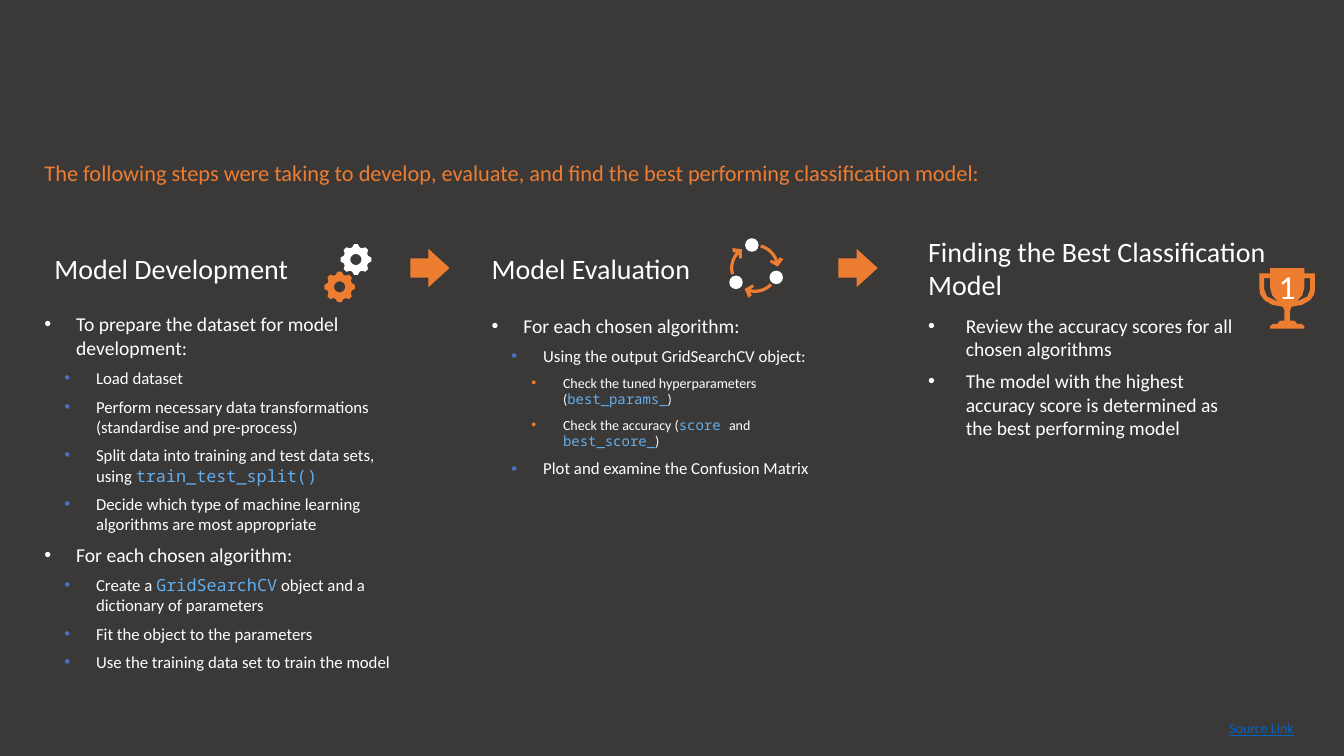
import math

import pptx
import pptx.dml.color
import pptx.enum.shapes
import pptx.enum.text
import pptx.oxml.ns
import pptx.util
from lxml import etree

Cm, Pt = pptx.util.Cm, pptx.util.Pt
ANCHOR = pptx.enum.text.MSO_ANCHOR
ALIGN = pptx.enum.text.PP_ALIGN
SHAPE = pptx.enum.shapes.MSO_SHAPE

WHITE, ORANGE, BLUE, CODE, LINK = "FFFFFF", "ED7D31", "4472C4", "61AFEF", "0563C1"
BACKGROUND = "3B3838"
LEVEL_SIZES = [14, 12, 10]
LEVEL_BULLETS = [None, BLUE, ORANGE]

# Items are (level, text); backticks enclose code.
DEVELOPMENT = [
    (0, "To prepare the dataset for model development:"),
    (1, "Load dataset"),
    (1, "Perform necessary data transformations (standardise and pre-process)"),
    (1, "Split data into training and test data sets, using `train_test_split()`"),
    (1, "Decide which type of machine learning algorithms are most appropriate"),
    (0, "For each chosen algorithm:"),
    (1, "Create a `GridSearchCV` object and a dictionary of parameters"),
    (1, "Fit the object to the parameters"),
    (1, "Use the training data set to train the model"),
]
EVALUATION = [
    (0, "For each chosen algorithm:"),
    (1, "Using the output GridSearchCV object:"),
    (2, "Check the tuned hyperparameters (`best_params_`)"),
    (2, "Check the accuracy (`score `and `best_score_`)"),
    (1, "Plot and examine the Confusion Matrix"),
]
SELECTION = [
    (0, "Review the accuracy scores for all chosen algorithms"),
    (0, "The model with the highest accuracy score is determined as the best performing model"),
]

# Right half of the trophy, measured from the middle of its top edge.
TROPHY_HALF = [(0.43, 0), (0.43, 0.13), (0.7, 0.13), (0.7, 0.53), (0.68, 0.66), (0.58, 0.8),
               (0.38, 0.92), (0.11, 0.97), (0.07, 1.07), (0.07, 1.32), (0.18, 1.32),
               (0.25, 1.4), (0.36, 1.4), (0.43, 1.46), (0.43, 1.52)]
TROPHY_HANDLE = [(0.43, 0.25), (0.58, 0.25), (0.58, 0.53), (0.51, 0.71), (0.24, 0.84),
                 (0.38, 0.68), (0.43, 0.5)]


def color(value):
    return pptx.dml.color.RGBColor.from_string(value)


def polar(center, radius, degrees):
    angle = math.radians(degrees)
    return center[0] + radius * math.cos(angle), center[1] + radius * math.sin(angle)


def mirror(points):
    return [(-x, y) for x, y in reversed(points)]


class SlideBuilder:
    font_name = "Calibri"

    def __init__(self, slide):
        self.slide = slide
        slide.background.fill.solid()
        slide.background.fill.fore_color.rgb = color(BACKGROUND)

    def style(self, font, size, text_color=WHITE):
        font.name, font.size, font.bold = self.font_name, Pt(size), False
        font.color.rgb = color(text_color)

    def frame(self, shape, box, inset=True, anchor=ANCHOR.TOP):
        shape.left, shape.top, shape.width, shape.height = map(Cm, box)
        frame = shape.text_frame
        frame.word_wrap = True
        frame.auto_size = pptx.enum.text.MSO_AUTO_SIZE.NONE
        frame.vertical_anchor = anchor
        frame.margin_left = frame.margin_right = Cm(0.25 if inset else 0)
        frame.margin_top = frame.margin_bottom = Cm(0.13 if inset else 0)
        return frame

    def title(self, box, text):
        paragraph = self.frame(self.slide.shapes.title, box, inset=False).paragraphs[0]
        paragraph.text = text
        paragraph.alignment = ALIGN.LEFT
        self.style(paragraph.font, 16, ORANGE)

    def text(self, box, text, size=20, text_color=WHITE, anchor=ANCHOR.MIDDLE):
        shape = self.slide.shapes.add_textbox(0, 0, 0, 0)
        paragraph = self.frame(shape, box, anchor=anchor).paragraphs[0]
        paragraph.text = text
        self.style(paragraph.font, size, text_color)
        return paragraph

    def bullet(self, paragraph, indent, hanging, bullet_color):
        properties = paragraph._p.get_or_add_pPr()
        properties.set("marL", str(Cm(indent)))
        properties.set("indent", str(-Cm(hanging)))
        qn = pptx.oxml.ns.qn
        if bullet_color:
            fill = etree.SubElement(properties, qn("a:buClr"))
            etree.SubElement(fill, qn("a:srgbClr"), val=bullet_color)
        etree.SubElement(properties, qn("a:buFont"), typeface="Arial")
        etree.SubElement(properties, qn("a:buChar"), char="•")

    def bullets(self, index, box, items, inset=True, hanging=0.8):
        frame = self.frame(self.slide.placeholders[index], box, inset)
        for number, (level, text) in enumerate(items):
            paragraph = frame.add_paragraph() if number else frame.paragraphs[0]
            paragraph.level = level
            paragraph.space_before, paragraph.space_after = Pt(0), Pt(6)
            self.bullet(paragraph, hanging + 0.5 * level, hanging, LEVEL_BULLETS[level])
            self.style(paragraph.font, LEVEL_SIZES[level])
            for part, content in enumerate(text.split("`")):
                run = paragraph.add_run()
                run.text = content
                if part % 2:
                    run.font.name = "Noto Sans Mono"
                    run.font.color.rgb = color(CODE)

    def paint(self, shape, fill):
        shape.shadow.inherit = False
        shape.fill.solid()
        shape.fill.fore_color.rgb = color(fill)
        shape.line.fill.background()
        return shape

    def preset(self, kind, box, fill):
        return self.paint(self.slide.shapes.add_shape(kind, *map(Cm, box)), fill)

    def outline(self, contours, fill):
        """Draw closed contours as one shape; inner contours become holes."""
        contours = [[(x * 1000, y * 1000) for x, y in contour] for contour in contours]
        builder = self.slide.shapes.build_freeform(*contours[0][0], scale=Cm(1) / 1000)
        for number, contour in enumerate(contours):
            if number:
                builder.move_to(*contour[0])
            builder.add_line_segments(contour[1:], close=True)
        return self.paint(builder.convert_to_shape(), fill)

    def gear(self, center, fill):
        tooth = [(0.32, -17), (0.39, -7), (0.39, 7), (0.32, 17)]
        rim = [polar(center, radius, turn + offset)
               for turn in range(0, 360, 45) for radius, offset in tooth]
        hole = [polar(center, 0.14, degrees) for degrees in range(0, -360, -15)]
        self.outline([rim, hole], fill)

    def cycle(self, center):
        head = [(0.68, 51), (0.76, 57), (0.58, 71), (0.41, 53), (0.46, 47)]
        arrow = ([(0.62, angle) for angle in range(0, 57, 7)] + head
                 + [(0.54, angle) for angle in range(56, -1, -7)])
        for start in (-75, 45, 165):
            self.outline([[polar(center, radius, start + angle) for radius, angle in arrow]], ORANGE)
            x, y = polar(center, 0.59, start - 22)
            self.preset(SHAPE.OVAL, (x - 0.17, y - 0.17, 0.34, 0.34), WHITE)

    def trophy(self, x, y, text):
        contours = [TROPHY_HALF + mirror(TROPHY_HALF), TROPHY_HANDLE, mirror(TROPHY_HANDLE)]
        shape = self.outline([[(x + dx, y + dy) for dx, dy in contour] for contour in contours], ORANGE)
        frame = shape.text_frame
        frame.margin_left = frame.margin_top = frame.margin_right = 0
        frame.margin_bottom = Cm(0.61)
        frame.vertical_anchor = ANCHOR.MIDDLE
        paragraph = frame.paragraphs[0]
        paragraph.text = text
        paragraph.alignment = ALIGN.CENTER
        self.style(paragraph.font, 24)


def main():
    presentation = pptx.Presentation()
    presentation.slide_width, presentation.slide_height = Cm(33.87), Cm(19.05)
    comparison_layout = presentation.slide_layouts[4]
    slide = presentation.slides.add_slide(comparison_layout)
    builder = SlideBuilder(slide)

    builder.title((1.12, 4.01, 31.67, 1.93),
                  "The following steps were taking to develop, evaluate, and find "
                  "the best performing classification model:")
    builder.text((1.12, 5.79, 9.6, 1.96), "Model Development")
    builder.text((12.14, 5.89, 7.09, 1.75), "Model Evaluation")
    builder.text((23.14, 5.77, 9.6, 2.01), "Finding the Best Classification Model", anchor=ANCHOR.TOP)
    builder.bullets(2, (1.12, 7.87, 9.22, 9.45), DEVELOPMENT, inset=False)
    builder.bullets(4, (12.14, 7.77, 8.99, 9.55), EVALUATION)
    builder.bullets(3, (23.14, 7.77, 8.59, 9.55), SELECTION, hanging=0.95)
    unused = slide.placeholders[1].element
    unused.getparent().remove(unused)

    link = builder.text((30.73, 18.01, 2.3, 0.69), "Source Link", 10, LINK, ANCHOR.TOP)
    link.font.underline = True

    for left in (10.34, 21.13):
        arrow = builder.preset(SHAPE.RIGHT_ARROW, (left, 6.27, 0.99, 0.97), ORANGE)
        arrow.adjustments[1] = 0.55
    builder.gear((8.97, 6.54), WHITE)
    builder.gear((8.56, 7.23), ORANGE)
    builder.cycle((19.02, 6.76))
    builder.trophy(32.44, 6.76, "1")
    presentation.save("out.pptx")


if __name__ == "__main__":
    main()
